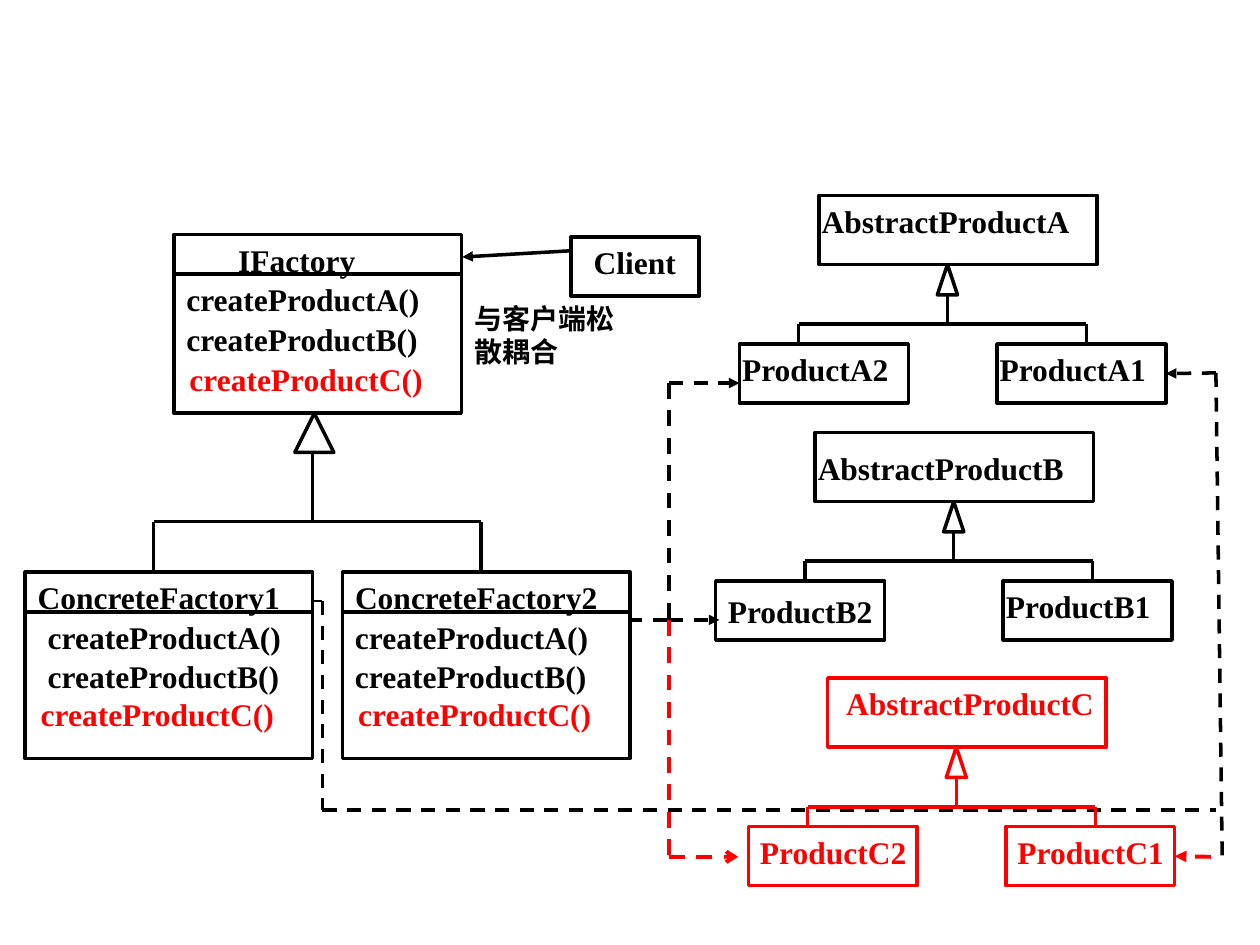
from pptx import Presentation
from pptx import util as u
from pptx.dml.color import RGBColor
from pptx.enum import dml, shapes, text
from pptx.oxml.ns import qn
from lxml import etree

THEME = dict(
    black=RGBColor(0, 0, 0), red=RGBColor(255, 0, 0), white=RGBColor(255, 255, 255),
    serif="Times New Roman", sans="Arial", body=18, note=16,
    thin=0.75, line=2, thick=2.25,
)

FACTORIES = [
    ("IFactory", 99.4, 133.9, 102.2, 36.7, 0, 68.4),
    ("ConcreteFactory1", 14.4, 326.9, 106.6, 7.2, 5.8, 67),
    ("ConcreteFactory2", 195.8, 326.9, 106.6, 7.2, 0, 67),
]
METHODS = ["createProductA()", "createProductB()"]
ADDED_METHOD = "createProductC()"
FACTORY_W, TITLE_H = 164.2, 22.7

FAMILIES = [
    dict(name="A", top=111.6, left=468, stem=541.4, child=422.6, color="black",
         inset=1.5, child_inset=1.5, drop=3.6),
    dict(name="B", top=247, left=465.8, stem=545, child=409, color="black",
         inset=1.5, child_inset=1.5, drop=9.4),
    dict(name="C", top=387.4, left=473, stem=546.5, child=427.7, color="red",
         inset=10.5, child_inset=6.6, drop=3.6),
]
ABSTRACT_W, ABSTRACT_H = 159, 39.6
CHILD_W, CHILD_H, CHILD_DY, CHILD_DX = 96.5, 33.8, 85, 28.3
HEAD_W, HEAD_H, BUS_DY = 11.5, 17.3, 73.6
BUS_LEFT, BUS_RIGHT = 85, 79.4

USES = [
    ((326.2, 143.3), (264.2, 146.9), "black", "line", False, "triangle", None),
    ((382.3, 354.2), (411.1, 354.2), "black", "line", True, "triangle", None),
    ((382.3, 218.9), (422.6, 218.9), "black", "line", True, "triangle", None),
    ((178.6, 343.4), (184.3, 343.4), "black", "thin", False, None, None),
    ((184.3, 343.4), (184.3, 463), "black", "line", True, None, None),
    ((184.3, 463), (694.8, 463), "black", "line", True, None, None),
    ((694.8, 213.1), (698.4, 489.6), "black", "line", True, None, None),
    ((694.8, 213.1), (666, 213.1), "black", "line", True, "triangle", "ProductA1"),
    ((691.9, 489.6), (669.6, 489.6), "red", "thick", True, "triangle", "ProductC1"),
    ((382.3, 218.9), (382.3, 354.2), "black", "thick", True, None, None),
    ((382.3, 354.2), (360, 354.2), "black", "thick", True, None, None),
    ((382.3, 354.2), (382.3, 489.6), "red", "thick", True, None, None),
    ((382.3, 489.6), (421.9, 489.6), "red", "thick", True, "arrow", None),
]

prs = Presentation()
prs.slide_width, prs.slide_height = u.Pt(720), u.Pt(540)
slide = prs.slides.add_slide(prs.slide_layouts[6])
boxes = {}


def write(sp, lines, color, left=7.2, top=3.6, font="serif", size="body"):
    tf = sp.text_frame
    tf.word_wrap = True
    tf.vertical_anchor = text.MSO_ANCHOR.TOP
    tf.margin_left, tf.margin_top, tf.margin_right = u.Pt(left), u.Pt(top), 0
    for i, line in enumerate(lines):
        p = tf.add_paragraph() if i else tf.paragraphs[0]
        p.text = line
        p.alignment = text.PP_ALIGN.LEFT
        p.space_before = u.Pt(0.9 if i else 0)
        p.font.name, p.font.size, p.font.bold = THEME[font], u.Pt(THEME[size]), True
        p.font.color.rgb = THEME[color]


def add_text(x, y, w, h, lines, color, **style):
    write(slide.shapes.add_textbox(*map(u.Pt, (x, y, w, h))), lines, color, **style)


def add_outline(kind, x, y, w, h, color):
    sp = slide.shapes.add_shape(kind, *map(u.Pt, (x, y, w, h)))
    sp.shadow.inherit = False
    sp.fill.background()
    sp.line.color.rgb, sp.line.width = THEME[color], u.Pt(THEME["line"])
    return sp


def add_box(name, x, y, w, h, color="black", left=7.2, top=3.6):
    sp = add_outline(shapes.MSO_SHAPE.RECTANGLE, x, y, w, h, color)
    write(sp, [name], color, left, top)
    boxes[name] = sp


def add_head(x, y, w, h, color):
    sp = add_outline(shapes.MSO_SHAPE.ISOSCELES_TRIANGLE, x - w / 2, y, w, h, color)
    sp.fill.solid()
    sp.fill.fore_color.rgb = THEME["white"]


def add_line(start, end, color="black", width="line", dashed=False, head=None, target=None):
    c = slide.shapes.add_connector(shapes.MSO_CONNECTOR.STRAIGHT, *map(u.Pt, start + end))
    if target:
        c.end_connect(boxes[target], 3)
    c.line.color.rgb, c.line.width = THEME[color], u.Pt(THEME[width])
    if dashed:
        c.line.dash_style = dml.MSO_LINE.DASH
    if head:
        etree.SubElement(c.line._get_or_add_ln(), qn("a:tailEnd"), type=head)
    etree.SubElement(c._element.spPr, qn("a:effectLst"))


def add_tree(stem, top, bus, bottom, left, right, color="black"):
    add_line((stem, top), (stem, bus), color)
    add_line((left, bus), (right, bus), color)
    for x in (left, right):
        add_line((x, bus), (x, bottom), color)


for name, x, y, h, inset, method_dx, added_dy in FACTORIES:
    add_box(name, x, y, FACTORY_W, h, left=inset)
    add_line((x, y + TITLE_H), (x + FACTORY_W, y + TITLE_H))
    add_text(x + method_dx, y + TITLE_H, 148.3, 50.4, METHODS, "black")
    add_text(x + 1.8, y + added_dy, 149, 28.8, [ADDED_METHOD], "red")

add_box("Client", 326.2, 135.4, 73.4, 33.8, left=13)
add_text(264.2, 168.5, 90, 46, ["与客户端松散耦合"], "black", font="sans", size="note")

for f in FAMILIES:
    color, top = f["color"], f["top"]
    add_box("AbstractProduct" + f["name"], f["left"], top, ABSTRACT_W, ABSTRACT_H,
            color, f["inset"], f["drop"])
    for number, x in ((2, f["child"]), (1, f["stem"] + CHILD_DX)):
        add_box(f"Product{f['name']}{number}", x, top + CHILD_DY, CHILD_W, CHILD_H,
                color, f["child_inset"])

centred = boxes["ProductB2"].text_frame
centred.vertical_anchor = text.MSO_ANCHOR.MIDDLE
centred.margin_left = 0
centred.paragraphs[0].alignment = text.PP_ALIGN.CENTER

for use in USES:
    add_line(*use)

add_tree(178.6, 258.5, 298.1, 326.9, 87.8, 275)
add_head(179.6, 236.2, 22.3, 22.3, "black")
for f in FAMILIES:
    stem, top, color = f["stem"], f["top"], f["color"]
    add_tree(stem, top + ABSTRACT_H + HEAD_H, top + BUS_DY, top + CHILD_DY,
             stem - BUS_LEFT, stem + BUS_RIGHT, color)
    add_head(stem, top + ABSTRACT_H, HEAD_W, HEAD_H, color)

prs.save("out.pptx")
